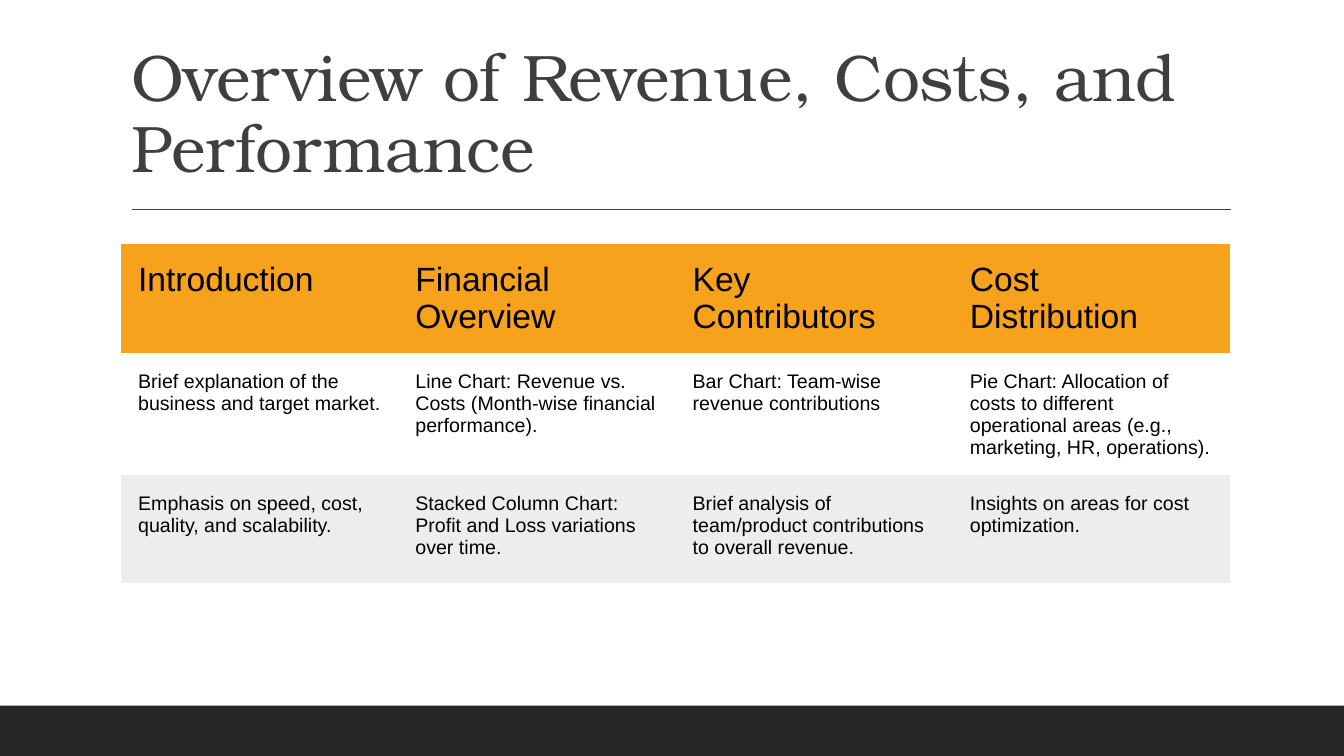
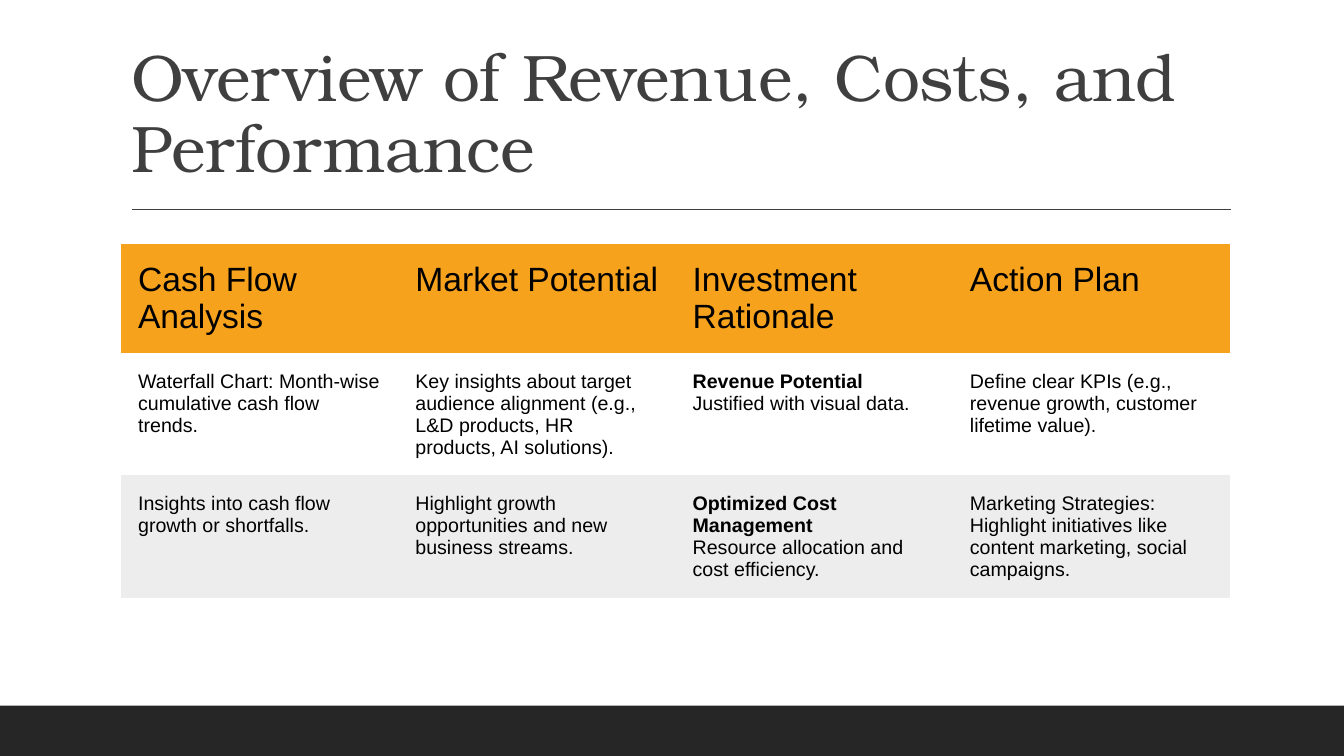
from dataclasses import dataclass

from lxml.etree import SubElement
from pptx import Presentation
from pptx.dml.color import RGBColor
from pptx.enum.shapes import MSO_CONNECTOR, MSO_SHAPE
from pptx.enum.text import MSO_ANCHOR, MSO_AUTO_SIZE, PP_ALIGN
from pptx.oxml.ns import qn
from pptx.slide import Slide
from pptx.table import _Cell
from pptx.text.text import _Paragraph
from pptx.util import Inches, Pt

# Shared style
BAND, INK, BLACK = "262626", "3F3F3F", "000000"
HEADER_FILL, STRIPE_FILL = "F6A21D", "EDEDED"
TITLE_FONT, BODY_FONT = "TeX Gyre Bonum", "Arial"
SLIDE_WIDTH, SLIDE_HEIGHT, BAND_HEIGHT = 13.33, 7.5, 0.5
TABLE_LEFT, TABLE_TOP, COLUMN_WIDTH = 1.2, 2.42, 2.75
ROW_HEIGHTS = (0.67, 1.07, 1.07, 1.07)  # the last row is left empty
CELL_MARGIN = Inches(0.17)
CELL_FORMAT = {
    "margin_left": CELL_MARGIN,
    "margin_top": CELL_MARGIN,
    "margin_right": CELL_MARGIN,
    "margin_bottom": CELL_MARGIN,
    "vertical_anchor": MSO_ANCHOR.TOP,
}
PLAIN_TABLE_STYLE = "{2D5ABB26-0587-4C30-8999-92F81FD0307C}"


@dataclass(frozen=True)
class Topic:
    """One table column; an entry is (heading, text), heading may be empty."""
    name: str
    entries: tuple[tuple[str, str], ...]


@dataclass(frozen=True)
class Overview:
    title: str
    topics: tuple[Topic, ...]


TITLE = "Overview of Revenue, Costs, and Performance"
OVERVIEWS = (
    Overview(TITLE, (
        Topic("Introduction", (
            ("", "Brief explanation of the business and target market."),
            ("", "Emphasis on speed, cost, quality, and scalability."))),
        Topic("Financial Overview", (
            ("", "Line Chart: Revenue vs. Costs (Month-wise financial performance)."),
            ("", "Stacked Column Chart: Profit and Loss variations over time."))),
        Topic("Key Contributors", (
            ("", "Bar Chart: Team-wise revenue contributions"),
            ("", "Brief analysis of team/product contributions to overall revenue."))),
        Topic("Cost Distribution", (
            ("", "Pie Chart: Allocation of costs to different operational areas "
                 "(e.g., marketing, HR, operations)."),
            ("", "Insights on areas for cost optimization."))),
    )),
    Overview(TITLE, (
        Topic("Cash Flow Analysis", (
            ("", "Waterfall Chart: Month-wise cumulative cash flow trends."),
            ("", "Insights into cash flow growth or shortfalls."))),
        Topic("Market Potential", (
            ("", "Key insights about target audience alignment "
                 "(e.g., L&D products, HR products, AI solutions)."),
            ("", "Highlight growth opportunities and new business streams."))),
        Topic("Investment Rationale", (
            ("Revenue Potential", "Justified with visual data."),
            ("Optimized Cost Management", "Resource allocation and cost efficiency."))),
        Topic("Action Plan", (
            ("", "Define clear KPIs (e.g., revenue growth, customer lifetime value)."),
            ("", "Marketing Strategies: Highlight initiatives like content marketing, "
                 "social campaigns."))),
    )),
)


def color(value: str) -> RGBColor:
    return RGBColor.from_string(value)


def write(paragraph: _Paragraph, text: str, size: float, font: str = BODY_FONT,
          ink: str = BLACK, bold: bool = False) -> None:
    run = paragraph.add_run()
    run.text = text
    font_format = {"name": font, "size": Pt(size), "bold": bold}
    for name, value in font_format.items():
        setattr(run.font, name, value)
    run.font.color.rgb = color(ink)


def add_frame(slide: Slide) -> None:
    # Footer band
    band = slide.shapes.add_shape(
        MSO_SHAPE.RECTANGLE, 0, Inches(SLIDE_HEIGHT - BAND_HEIGHT),
        Inches(SLIDE_WIDTH), Inches(BAND_HEIGHT))
    band.shadow.inherit = False
    band.fill.solid()
    band.fill.fore_color.rgb = color(BAND)
    band.line.fill.background()
    # Rule under the title
    rule = slide.shapes.add_connector(
        MSO_CONNECTOR.STRAIGHT, Inches(1.31), Inches(2.08), Inches(12.21), Inches(2.08))
    rule.line.color.rgb = color(INK)
    rule.line.width = Pt(1)
    SubElement(rule._element.spPr, qn("a:effectLst"))


def set_title(slide: Slide, text: str) -> None:
    title = slide.shapes.title
    place = {"left": 1.2, "top": 0.31, "width": 11, "height": 1.59}
    for name, value in place.items():
        setattr(title, name, Inches(value))
    frame_format = {
        "auto_size": MSO_AUTO_SIZE.NONE,
        "word_wrap": True,
        "vertical_anchor": MSO_ANCHOR.BOTTOM,
        "margin_left": Inches(0.1),
        "margin_right": Inches(0.1),
        "margin_top": Inches(0.05),
        "margin_bottom": Inches(0.05),
    }
    for name, value in frame_format.items():
        setattr(title.text_frame, name, value)
    paragraph = title.text_frame.paragraphs[0]
    paragraph.alignment = PP_ALIGN.LEFT
    paragraph.line_spacing = 0.9
    write(paragraph, text, 47, TITLE_FONT, INK)


def fill_entry(cell: _Cell, heading: str, text: str) -> None:
    paragraph = cell.text_frame.paragraphs[0]
    if heading:
        write(paragraph, heading, 14, bold=True)
        paragraph = cell.text_frame.add_paragraph()
    write(paragraph, text, 14)


def add_topic_table(slide: Slide, topics: tuple[Topic, ...]) -> None:
    table_frame = slide.shapes.add_table(
        len(ROW_HEIGHTS), len(topics), Inches(TABLE_LEFT), Inches(TABLE_TOP),
        Inches(COLUMN_WIDTH * len(topics)), Inches(sum(ROW_HEIGHTS)))
    table = table_frame.table
    table.horz_banding = False
    table._tbl.tblPr.find(qn("a:tableStyleId")).text = PLAIN_TABLE_STYLE
    for row, height in zip(table.rows, ROW_HEIGHTS):
        row.height = Inches(height)
    for column in table.columns:
        column.width = Inches(COLUMN_WIDTH)

    # Cell margins and fills
    row_fills = {0: HEADER_FILL, 2: STRIPE_FILL}
    for row_index, row in enumerate(table.rows):
        for cell in row.cells:
            for name, value in CELL_FORMAT.items():
                setattr(cell, name, value)
            if row_index in row_fills:
                cell.fill.solid()
                cell.fill.fore_color.rgb = color(row_fills[row_index])
            else:
                cell.fill.background()

    # Cell text
    for column_index, topic in enumerate(topics):
        header = table.cell(0, column_index)
        write(header.text_frame.paragraphs[0], topic.name, 24)
        for row_index, (heading, text) in enumerate(topic.entries, start=1):
            fill_entry(table.cell(row_index, column_index), heading, text)


def main() -> None:
    presentation = Presentation()
    presentation.slide_width = Inches(SLIDE_WIDTH)
    presentation.slide_height = Inches(SLIDE_HEIGHT)
    title_only = presentation.slide_layouts.get_by_name("Title Only")
    for overview in OVERVIEWS:
        slide = presentation.slides.add_slide(title_only)
        add_frame(slide)
        set_title(slide, overview.title)
        add_topic_table(slide, overview.topics)
    presentation.save("out.pptx")


if __name__ == "__main__":
    main()
